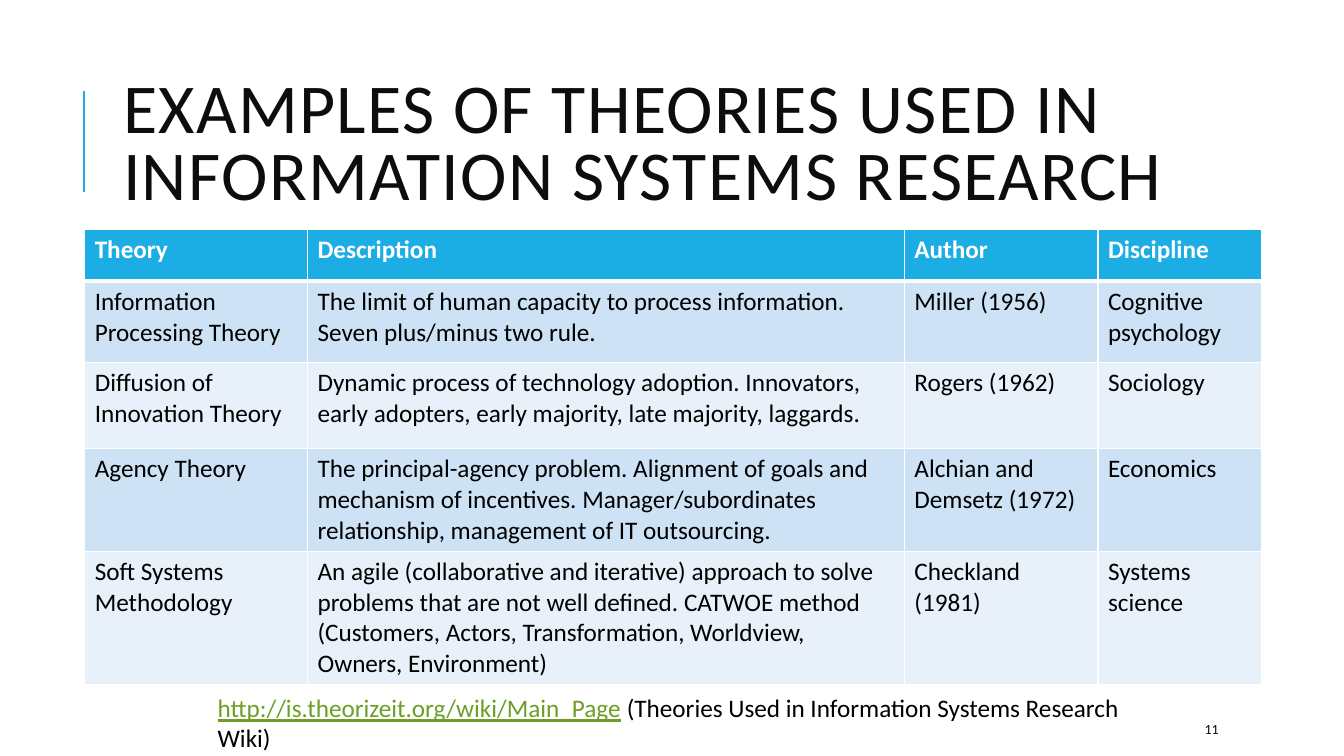
from dataclasses import dataclass

from lxml import etree
from pptx import Presentation
from pptx.dml.color import RGBColor
from pptx.enum.shapes import MSO_CONNECTOR
from pptx.enum.text import MSO_ANCHOR, MSO_AUTO_SIZE, PP_ALIGN
from pptx.oxml.ns import qn
from pptx.util import Inches, Pt

STRAIGHT = MSO_CONNECTOR.STRAIGHT
MIDDLE = MSO_ANCHOR.MIDDLE
NO_FIT = MSO_AUTO_SIZE.NONE
LEFT = PP_ALIGN.LEFT


@dataclass(frozen=True)
class Theme:
    font: str = "Calibri"
    accent: str = "1CADE4"
    band_dark: str = "CDE3F5"
    band_light: str = "E8F1FA"
    white: str = "FFFFFF"
    black: str = "000000"
    ink: str = "0D0D0D"
    link: str = "6B9F25"
    title_size: int = 50
    body_size: int = 18
    number_size: int = 10


theme = Theme()


def style_span(span, size, color, bold=False):
    span.font.name = theme.font
    span.font.size = Pt(size)
    span.font.bold = bold
    span.font.color.rgb = RGBColor.from_string(color)


def add_border(cell, side, points):
    line = etree.SubElement(cell._tc.get_or_add_tcPr(), qn(f"a:ln{side}"), w=str(Pt(points)))
    fill = etree.SubElement(line, qn("a:solidFill"))
    etree.SubElement(fill, qn("a:srgbClr"), val=theme.white)


deck = Presentation()
deck.slide_width = Inches(13.33)
deck.slide_height = Inches(7.5)
page = deck.slides.add_slide(deck.slide_layouts[5])

title_bar = page.shapes.add_connector(STRAIGHT, Inches(0.83), Inches(1.9), Inches(0.83), Inches(0.9))
title_bar.line.color.rgb = RGBColor.from_string(theme.accent)
title_bar.line.width = Pt(1.5)
etree.SubElement(title_bar._element.spPr, qn("a:effectLst"))

title = page.shapes.title
title.left, title.top, title.width, title.height = Inches(1.12), Inches(0.64), Inches(10.63), Inches(1.64)
title.text_frame.text = "EXAMPLES OF THEORIES USED IN INFORMATION SYSTEMS RESEARCH"
title.text_frame.auto_size = NO_FIT
title.text_frame.word_wrap = True
title.text_frame.vertical_anchor = MIDDLE
para = title.text_frame.paragraphs[0]
para.alignment = LEFT
para.line_spacing = 0.8
style_span(para.runs[0], theme.title_size, theme.ink)
para.runs[0].font._element.set("spc", "100")

theories = [
    ("Theory", "Description", "Author", "Discipline"),
    ("Information Processing Theory",
     "The limit of human capacity to process information. Seven plus/minus two rule.",
     "Miller (1956)", "Cognitive psychology"),
    ("Diffusion of Innovation Theory",
     "Dynamic process of technology adoption. Innovators, early adopters, early majority, "
     "late majority, laggards.",
     "Rogers (1962)", "Sociology"),
    ("Agency Theory",
     "The principal-agency problem. Alignment of goals and mechanism of incentives. "
     "Manager/subordinates relationship, management of IT outsourcing.",
     "Alchian and Demsetz (1972)", "Economics"),
    ("Soft Systems Methodology",
     "An agile (collaborative and iterative) approach to solve problems that are not well defined. "
     "CATWOE method (Customers, Actors, Transformation, Worldview, Owners, Environment)",
     "Checkland (1981)", "Systems science"),
]
column_widths = [2.21, 5.92, 1.92, 1.62]
row_heights = [0.51, 0.81, 0.85, 1.02, 1.32]

table = page.shapes.add_table(
    len(theories), len(column_widths), Inches(0.84), Inches(2.28),
    Inches(sum(column_widths)), Inches(sum(row_heights))).table
for column, width in zip(table.columns, column_widths):
    column.width = Inches(width)

for row_index, (texts, height) in enumerate(zip(theories, row_heights)):
    table.rows[row_index].height = Inches(height)
    is_header = row_index == 0
    band = theme.band_dark if row_index % 2 else theme.band_light
    for column_index, text in enumerate(texts):
        cell = table.cell(row_index, column_index)
        for side in "LRTB":
            heavy = (is_header and side == "B") or (row_index == 1 and side == "T")
            add_border(cell, side, 3 if heavy else 1)
        cell.fill.solid()
        cell.fill.fore_color.rgb = RGBColor.from_string(theme.accent if is_header else band)
        cell.text_frame.text = text
        style_span(cell.text_frame.paragraphs[0].runs[0], theme.body_size,
                   theme.white if is_header else theme.black, is_header)

number_box = page.shapes.add_textbox(Inches(11.85), Inches(7.08), Inches(1.06), Inches(0.3))
number_box.text_frame.text = "11"
number_box.text_frame.vertical_anchor = MIDDLE
number_box.text_frame.word_wrap = True
style_span(number_box.text_frame.paragraphs[0].runs[0], theme.number_size, theme.ink)

source_box = page.shapes.add_textbox(Inches(2.06), Inches(6.82), Inches(9.55), Inches(0.4))
source_box.text_frame.word_wrap = True
para = source_box.text_frame.paragraphs[0]
for text, color, underlined in [
    ("http://is.theorizeit.org/wiki/Main_Page", theme.link, True),
    (" (Theories Used in Information Systems Research Wiki)", theme.black, False),
]:
    span = para.add_run()
    span.text = text
    style_span(span, theme.body_size, color)
    span.font.underline = underlined

deck.save("out.pptx")
